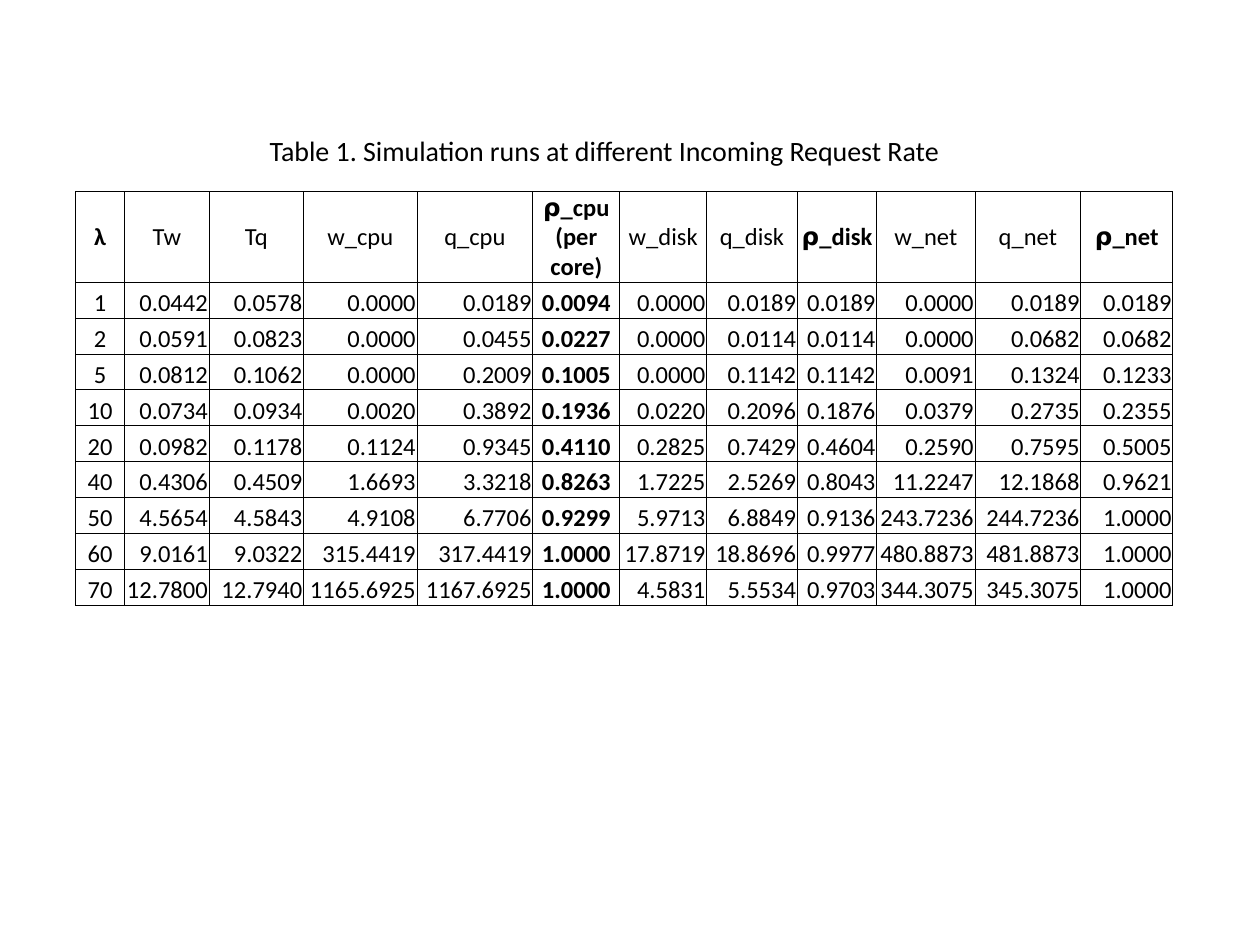
"""Builds a slide with a captioned table of simulation runs."""
import pptx
import pptx.dml.color
import pptx.enum.text
import pptx.oxml
import pptx.oxml.ns
import pptx.util

Inches, Pt = pptx.util.Inches, pptx.util.Pt
ALIGN, ANCHOR = pptx.enum.text.PP_ALIGN, pptx.enum.text.MSO_ANCHOR

CAPTION = "Table 1. Simulation runs at different Incoming Request Rate"
RHO = "\U0001D780"
HEADERS = ["λ", "Tw", "Tq", "w_cpu", "q_cpu", RHO + "_cpu (per core)", "w_disk",
           "q_disk", RHO + "_disk", "w_net", "q_net", RHO + "_net"]
RUNS = """
1 0.0442 0.0578 0.0000 0.0189 0.0094 0.0000 0.0189 0.0189 0.0000 0.0189 0.0189
2 0.0591 0.0823 0.0000 0.0455 0.0227 0.0000 0.0114 0.0114 0.0000 0.0682 0.0682
5 0.0812 0.1062 0.0000 0.2009 0.1005 0.0000 0.1142 0.1142 0.0091 0.1324 0.1233
10 0.0734 0.0934 0.0020 0.3892 0.1936 0.0220 0.2096 0.1876 0.0379 0.2735 0.2355
20 0.0982 0.1178 0.1124 0.9345 0.4110 0.2825 0.7429 0.4604 0.2590 0.7595 0.5005
40 0.4306 0.4509 1.6693 3.3218 0.8263 1.7225 2.5269 0.8043 11.2247 12.1868 0.9621
50 4.5654 4.5843 4.9108 6.7706 0.9299 5.9713 6.8849 0.9136 243.7236 244.7236 1.0000
60 9.0161 9.0322 315.4419 317.4419 1.0000 17.8719 18.8696 0.9977 480.8873 481.8873 1.0000
70 12.7800 12.7940 1165.6925 1167.6925 1.0000 4.5831 5.5534 0.9703 344.3075 345.3075 1.0000
"""
ROWS = [HEADERS] + [line.split() for line in RUNS.strip().splitlines()]
COL_WIDTHS = [0.39, 0.67, 0.75, 0.9, 0.92, 0.69, 0.69, 0.72, 0.63, 0.78, 0.84, 0.73]
HEADER_HEIGHT, ROW_HEIGHT = 0.72, 0.285
LAMBDA_COL, CPU_LOAD_COL = 0, 5
BLACK = "000000"


def color(value):
    return pptx.dml.color.RGBColor.from_string(value)


def add_text(p, text, size, bold=False):
    r = p.add_run()
    r.text = text
    r.font.name = "Calibri"
    r.font.size = Pt(size)
    r.font.bold = bold
    r.font.color.rgb = color(BLACK)


def add_borders(cell, value, width):
    tc_pr = cell._tc.get_or_add_tcPr()
    for i, side in enumerate(("lnL", "lnR", "lnT", "lnB")):
        tc_pr.insert(i, pptx.oxml.parse_xml(
            f'<a:{side} {pptx.oxml.ns.nsdecls("a")} w="{Pt(width)}"><a:solidFill>'
            f'<a:srgbClr val="{value}"/></a:solidFill></a:{side}>'))


def fill_cell(cell, text, row, col):
    header = row == 0
    bold = col == CPU_LOAD_COL or header and (col == LAMBDA_COL or text.startswith(RHO))
    centred = header or col in (LAMBDA_COL, CPU_LOAD_COL)
    cell.margin_left = cell.margin_right = cell.margin_top = Inches(0.01)
    cell.margin_bottom = 0
    cell.vertical_anchor = ANCHOR.MIDDLE if header else ANCHOR.BOTTOM
    cell.fill.background()
    p = cell.text_frame.paragraphs[0]
    p.alignment = ALIGN.CENTER if centred else ALIGN.RIGHT
    add_text(p, text, 14, bold)
    add_borders(cell, BLACK, 0.5)


prs = pptx.Presentation()
prs.slide_width, prs.slide_height = Inches(10), Inches(7.5)
s = prs.slides.add_slide(prs.slide_layouts[5])

title = s.shapes.title
title.left, title.top, title.width, title.height = map(Inches, (2.04, 1.01, 6.01, 0.37))
tf = title.text_frame
tf.word_wrap = True
tf.auto_size = pptx.enum.text.MSO_AUTO_SIZE.NONE
tf.vertical_anchor = ANCHOR.TOP
tf.paragraphs[0].alignment = ALIGN.LEFT
add_text(tf.paragraphs[0], CAPTION, 16)

heights = [HEADER_HEIGHT] + [ROW_HEIGHT] * (len(ROWS) - 1)
table = s.shapes.add_table(len(ROWS), len(HEADERS), Inches(0.6), Inches(1.52),
                           Inches(sum(COL_WIDTHS)), Inches(sum(heights))).table
table.first_row = table.horz_banding = False
for column, width in zip(table.columns, COL_WIDTHS):
    column.width = Inches(width)
for i, (row, height) in enumerate(zip(ROWS, heights)):
    table.rows[i].height = Inches(height)
    for j, text in enumerate(row):
        fill_cell(table.cell(i, j), text, i, j)

prs.save("out.pptx")
